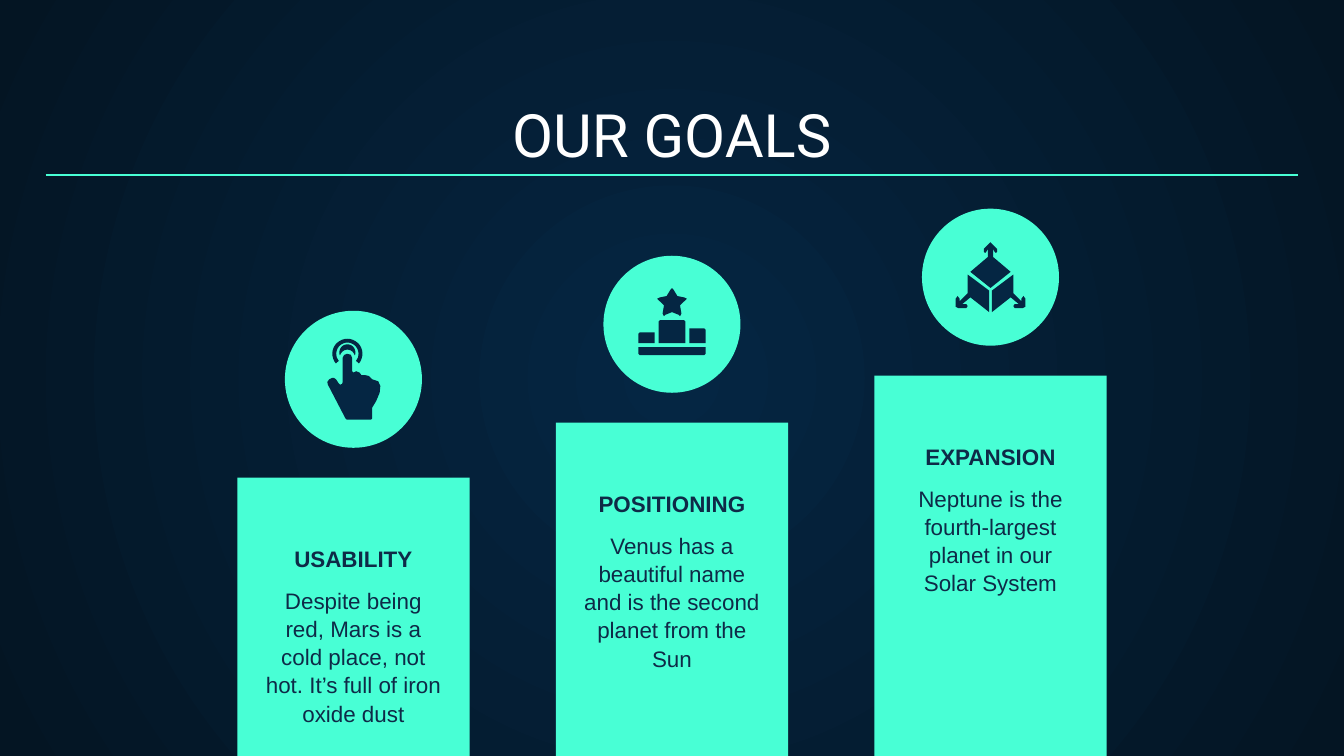
"""Build the "Our goals" slide: three rising columns, each with an icon."""
import dataclasses
import math

import pptx
import pptx.dml.color
import pptx.enum.shapes
import pptx.enum.text
import pptx.oxml
import pptx.oxml.ns
import pptx.util

Cm = pptx.util.Cm


@dataclasses.dataclass(frozen=True)
class Theme:
    mint: str = "48FFD5"
    navy: str = "052643"
    night: str = "041523"
    ink: str = "0E2A47"
    white: str = "FFFFFF"
    title_font: str = "Roboto"
    body_font: str = "Arial"
    title_size: int = 32
    body_size: int = 12
    rule_width: float = 0.75


class GoalsSlide:
    def __init__(self, slide, theme):
        self.slide = slide
        self.theme = theme

    def background(self):
        namespaces = pptx.oxml.ns.nsdecls("p", "a")
        glow = pptx.oxml.parse_xml(
            f'<p:bg {namespaces}><p:bgPr><a:gradFill rotWithShape="1"><a:gsLst>'
            f'<a:gs pos="0"><a:srgbClr val="{self.theme.navy}"/></a:gs>'
            f'<a:gs pos="100000"><a:srgbClr val="{self.theme.night}"/></a:gs>'
            '</a:gsLst><a:path path="circle">'
            '<a:fillToRect l="50000" t="50000" r="50000" b="50000"/></a:path>'
            '</a:gradFill><a:effectLst/></p:bgPr></p:bg>'
        )
        self.slide._element.cSld.insert(0, glow)

    def paint(self, shape, color):
        shape.shadow.inherit = False
        shape.fill.solid()
        shape.fill.fore_color.rgb = pptx.dml.color.RGBColor.from_string(color)
        shape.line.fill.background()

    def solid(self, kind, left, top, width, height):
        shape = self.slide.shapes.add_shape(kind, Cm(left), Cm(top), Cm(width), Cm(height))
        self.paint(shape, self.theme.mint)

    def text(self, words, left, top, width, height, size, font, color,
             bold=False, anchor=pptx.enum.text.MSO_ANCHOR.BOTTOM, spacing=1.0):
        frame = self.slide.shapes.add_textbox(
            Cm(left), Cm(top), Cm(width), Cm(height)).text_frame
        frame.word_wrap = True
        frame.vertical_anchor = anchor
        frame.margin_left = frame.margin_right = Cm(0.25)
        frame.margin_top = frame.margin_bottom = Cm(0.25)
        paragraph = frame.paragraphs[0]
        paragraph.alignment = pptx.enum.text.PP_ALIGN.CENTER
        paragraph.line_spacing = spacing
        run = paragraph.add_run()
        run.text = words
        run.font.name = font
        run.font.size = pptx.util.Pt(size)
        run.font.bold = bold
        run.font.color.rgb = pptx.dml.color.RGBColor.from_string(color)

    def rule(self, left, right, y):
        line = self.slide.shapes.add_connector(
            pptx.enum.shapes.MSO_CONNECTOR.STRAIGHT, Cm(left), Cm(y), Cm(right), Cm(y))
        line.line.color.rgb = pptx.dml.color.RGBColor.from_string(self.theme.mint)
        line.line.width = pptx.util.Pt(self.theme.rule_width)
        line._element.spPr.append(pptx.oxml.parse_xml(
            f'<a:effectLst {pptx.oxml.ns.nsdecls("a")}/>'))

    def icon(self, outlines, center_x, center_y):
        group = self.slide.shapes.add_group_shape()
        for outline in outlines:
            points = [(round(x * 10), round(y * 10)) for x, y in outline]
            builder = group.shapes.build_freeform(*points[0], scale=Cm(2.54) / 1000)
            builder.add_line_segments(points[1:], close=True)
            self.paint(builder.convert_to_shape(Cm(center_x), Cm(center_y)), self.theme.navy)


def flipped(points):
    return [(-x, y) for x, y in reversed(points)]


def symmetric(left_half):
    return left_half + flipped(left_half)


def arc(center_x, center_y, radius, start, end, steps=24):
    angles = [math.radians(start + (end - start) * step / steps) for step in range(steps + 1)]
    return [(center_x + radius * math.cos(angle), center_y + radius * math.sin(angle))
            for angle in angles]


def touch_icon():
    outer_ring = arc(-4.5, -19, 11.2, 140, 400) + arc(-4.5, -19, 8.3, 400, 140)
    inner_ring = arc(-4.5, -20, 6, 160, 380) + arc(-4.5, -16.5, 5.5, 340, 200)
    hand = [(-5, -19), (-7, -18), (-8, -16), (-8, 2), (-8.5, 3.5), (-10, 4), (-11, 3),
            (-13, 0), (-14.5, -1), (-16, -1), (-18, 0), (-19.5, 2), (-19, 4), (-6, 29),
            (-5, 30), (13, 30), (14, 29), (14, 21), (17, 16), (19.5, 10), (20, 5),
            (18.5, 1.5), (14, 0), (13, -1), (11.5, -2.5), (9, -3), (6, -3), (4.5, -5),
            (2, -6), (0, -5), (-1, -6), (-1, -16), (-2, -18.3)]
    return [outer_ring, inner_ring, hand]


def podium_icon():
    star = symmetric([(0, -27), (-1, -26), (-4, -21), (-9, -20), (-11, -19), (-10, -18),
                      (-6, -14), (-7, -8), (-6, -6), (-5, -7), (0, -9)])
    third = [(13, 3), (13, 14), (25, 14), (25, 4), (24, 3)]
    first = symmetric([(-9, -3), (-10, -2), (-10, 14)])
    base = symmetric([(-25, 17), (-25, 22), (-24, 23)])
    second = [(-24, 6), (-25, 7), (-25, 14), (-13, 14), (-13, 6)]
    return [star, third, first, base, second]


def cube_icon():
    right_face = [(17, -2), (1, 10), (1, 26), (15, 15), (21, 20), (18, 20), (17, 21.5),
                  (18, 23), (24, 23), (26, 22), (26, 16), (24.5, 14), (23, 16), (23, 18),
                  (17, 12)]
    top_face = symmetric([(0, -26), (-1, -25), (-5, -21), (-5, -19), (-4, -18), (-3, -19),
                          (-2, -21), (-2, -15), (-15, -4), (0, 8)])
    return [right_face, flipped(right_face), top_face]


def main():
    deck = pptx.Presentation()
    deck.slide_width, deck.slide_height = Cm(25.4), Cm(14.29)
    theme = Theme()
    page = GoalsSlide(deck.slides.add_slide(deck.slide_layouts[6]), theme)
    shapes = pptx.enum.shapes.MSO_SHAPE
    body = (theme.body_size, theme.body_font, theme.ink)

    page.background()
    page.text("OUR GOALS", 0.86, 1.78, 23.68, 1.68,
              theme.title_size, theme.title_font, theme.white)
    page.rule(0.86, 24.54, 3.31)

    goals = [
        ("USABILITY", "Despite being red, Mars is a cold place, not hot. "
         "It’s full of iron oxide dust", 9.03, touch_icon()),
        ("POSITIONING", "Venus has a beautiful name and is the second planet from the Sun",
         7.99, podium_icon()),
        ("EXPANSION", "Neptune is the fourth-largest planet in our Solar System",
         7.1, cube_icon()),
    ]
    bar_width, circle, heading_width, body_width = 4.39, 2.59, 5.76, 3.87
    for column, (heading, description, top, outlines) in enumerate(goals):
        center = 12.7 + (column - 1) * 6.02
        icon_y = top - 1.86
        page.solid(shapes.RECTANGLE, center - bar_width / 2, top, bar_width, 14.37 - top)
        page.text(heading, center - heading_width / 2, top + 1.5, heading_width, 0.53,
                  *body, bold=True)
        page.text(description, center - body_width / 2, top + 1.79, body_width, 1.4,
                  *body, anchor=pptx.enum.text.MSO_ANCHOR.TOP, spacing=1.05)
        page.solid(shapes.OVAL, center - circle / 2, icon_y - circle / 2, circle, circle)
        page.icon(outlines, center, icon_y)

    deck.save("out.pptx")


if __name__ == "__main__":
    main()
